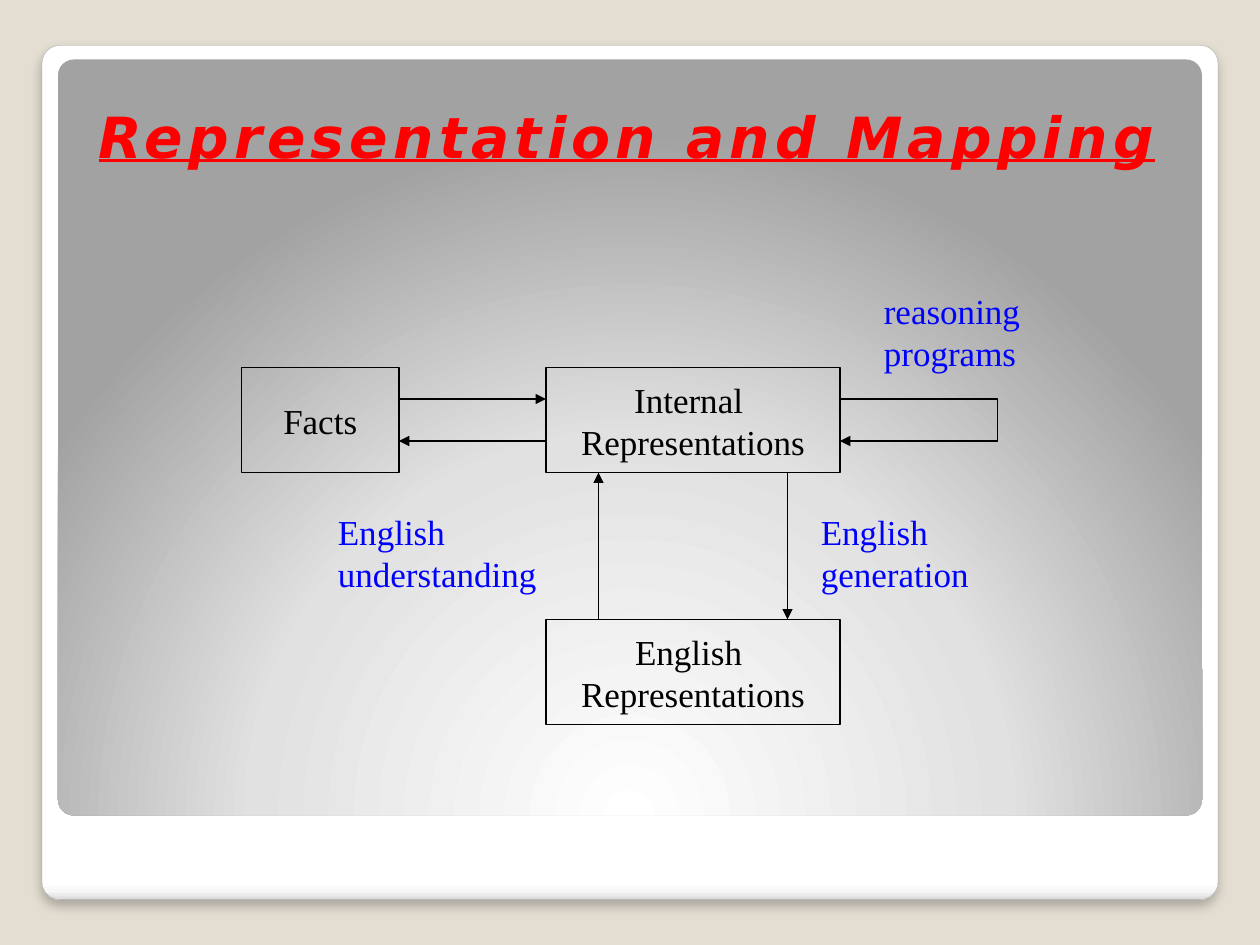
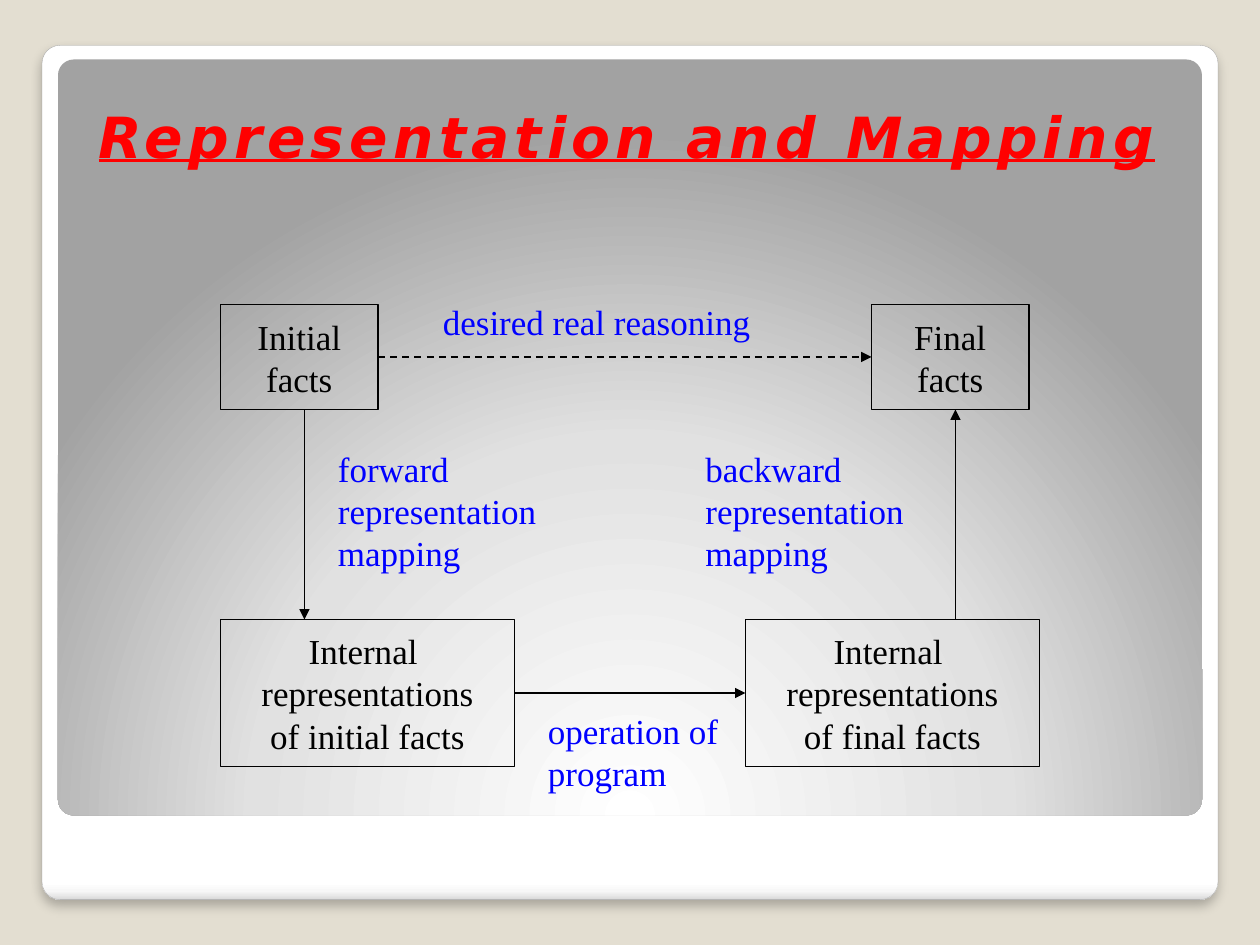
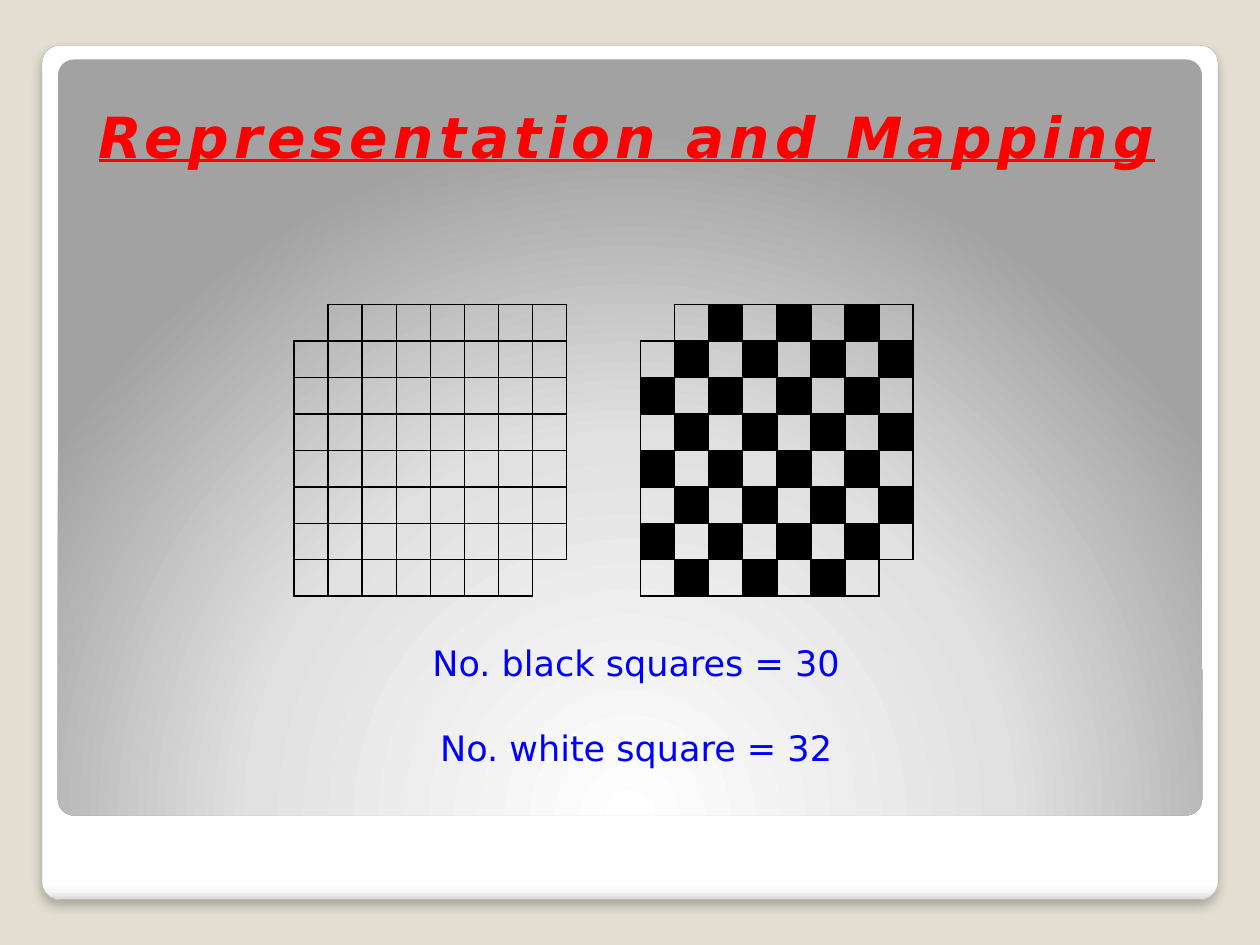
from dataclasses import dataclass

from lxml import etree
from pptx import Presentation
from pptx.dml.color import RGBColor
from pptx.enum import dml, shapes, text
from pptx.oxml import parse_xml
from pptx.oxml.ns import nsdecls, qn
from pptx.util import Pt


@dataclass(frozen=True)
class Theme:
    backdrop: str = "E3DED1"
    card_edge: str = "A4A4A4"
    title: str = "FF0000"
    label: str = "0000FF"
    ink: str = "000000"
    title_font: str = "DejaVu Sans"
    body_font: str = "Times New Roman"
    title_size: float = 32.4
    body_size: float = 20
    line_width: float = 1


THEME = Theme()

# Content: boxes and labels as (text, frame); arrows as lists of points, in points
TITLE = "Representation and Mapping"
TITLE_FRAME = (36, 36, 644.4, 82.8)

DIAGRAMS = [
    {
        "boxes": [
            (["Facts"], (138, 210, 90, 60)),
            (["Internal ", "Representations"], (312, 210, 168, 60)),
            (["English ", "Representations"], (312, 354, 168, 60)),
        ],
        "arrows": [
            [(228, 228), (312, 228)],
            [(312, 252), (228, 252)],
            [(342, 354), (342, 270)],
            [(450, 270), (450, 354)],
            [(480, 228), (570, 228), (570, 252), (480, 252)],
        ],
        "dashed": [],
        "labels": [
            ("reasoning programs", (498, 162, 108, 55.2)),
            ("English understanding", (186, 288, 150, 55.2)),
            ("English generation", (462, 288, 150, 55.2)),
        ],
    },
    {
        "boxes": [
            (["Initial", "facts"], (126, 174, 90, 60)),
            (["Final", "facts"], (498, 174, 90, 60)),
            (["Internal ", "representations", "of initial facts"], (126, 354, 168, 84)),
            (["Internal ", "representations", "of final facts"], (426, 354, 168, 84)),
        ],
        "arrows": [
            [(546, 354), (546, 234)],
            [(174, 234), (174, 354)],
            [(294, 396), (426, 396)],
        ],
        "dashed": [[(216, 204), (498, 204)]],
        "labels": [
            ("desired real reasoning", (246, 168, 216, 31.2)),
            ("forward representation mapping", (186, 252, 150, 79.2)),
            ("backward representation mapping", (396, 252, 150, 79.2)),
            ("operation of program", (306, 402, 114, 55.2)),
        ],
    },
]

BOARD_SIZE = 8
BOARD_TOP = 174
BOARDS = [(168, False), (366, True)]  # left edge, checkered
SQUARE_WIDTH, SQUARE_HEIGHT = 19.5, 20.86
MISSING = {(0, 0): ("R", "B"), (7, 7): ("L", "T")}  # cut corners and their inner edges
COUNTS = ["No. black squares = 30", "No. white square = 32"]
COUNTS_FRAME = (50.4, 366.5, 626.4, 72)


def color(value):
    return RGBColor.from_string(value)


def points(values):
    return [Pt(value) for value in values]


def write(frame, lines, *, size=THEME.body_size, font=THEME.body_font, fill=THEME.ink,
          align=text.PP_ALIGN.LEFT, anchor=text.MSO_ANCHOR.TOP, wrap=True, gap=0,
          heading=False):
    """Fill a text frame with one paragraph per line."""
    frame.word_wrap = wrap
    frame.auto_size = text.MSO_AUTO_SIZE.NONE
    frame.vertical_anchor = anchor
    for index, line in enumerate(lines):
        paragraph = frame.add_paragraph() if index else frame.paragraphs[0]
        paragraph.alignment = align
        paragraph.space_before = Pt(gap if index else 0)
        run = paragraph.add_run()
        run.text = line
        run.font.size, run.font.name = Pt(size), font
        run.font.color.rgb = color(fill)
        if heading:
            run.font.bold = run.font.italic = run.font.underline = True
            run.font._element.set("spc", "300")


def style_line(shape, arrow=False, dashed=False):
    shape.line.color.rgb = color(THEME.ink)
    shape.line.width = Pt(THEME.line_width)
    if dashed:
        shape.line.dash_style = dml.MSO_LINE.DASH
    if arrow:
        etree.SubElement(shape.line._get_or_add_ln(), qn("a:tailEnd"), type="triangle")


# Shared background
def add_panel(slide, layout, frame, stops, direction):
    """Draw a rounded gradient panel and move it to the layout."""
    panel = slide.shapes.add_shape(shapes.MSO_SHAPE.ROUNDED_RECTANGLE, *points(frame))
    panel.adjustments[0] = 0.021
    panel.shadow.inherit = False
    panel.line.fill.background()
    panel.fill.background()
    stop_xml = "".join(f'<a:gs pos="{position * 1000}"><a:srgbClr val="{value}"/></a:gs>'
                       for position, value in stops)
    properties = panel._element.spPr
    properties.replace(properties.find(qn("a:noFill")), parse_xml(
        f'<a:gradFill {nsdecls("a")} rotWithShape="1"><a:gsLst>{stop_xml}</a:gsLst>'
        f'{direction}</a:gradFill>'))
    layout.shapes.element.insert(2 + len(layout.shapes) - layout_placeholder_count(layout),
                                 panel._element)
    return panel


def layout_placeholder_count(layout):
    return len(list(layout.placeholders))


def build_background(slide, layout):
    layout.background.fill.solid()
    layout.background.fill.fore_color.rgb = color(THEME.backdrop)
    card = add_panel(slide, layout, (24, 25.92, 672, 488.16),
                     [(0, "FFFFFF"), (98, "FFFFFF"), (99, "F7F7F7"), (100, "DADADA")],
                     '<a:lin ang="5400000" scaled="0"/>')
    card.line.color.rgb = color(THEME.card_edge)
    card.line.width = Pt(0.16)
    card._element.spPr.find(qn("a:effectLst")).append(parse_xml(
        f'<a:outerShdw {nsdecls("a")} blurRad="{Pt(6)}" dist="{Pt(4)}" dir="5400000" '
        'rotWithShape="0"><a:srgbClr val="000000"><a:alpha val="25000"/></a:srgbClr>'
        '</a:outerShdw>'))
    add_panel(slide, layout, (33.12, 34, 653.76, 432),
              [(0, "FFFFFF"), (55, "E1E1E1"), (100, "A2A2A2")],
              '<a:path path="circle"><a:fillToRect l="50000" t="175000" r="50000" '
              'b="-75000"/></a:path>')


def add_titled_slide(presentation, layout):
    slide = presentation.slides.add_slide(layout)
    title = slide.shapes.title
    title.left, title.top, title.width, title.height = points(TITLE_FRAME)
    write(title.text_frame, [TITLE], size=THEME.title_size, font=THEME.title_font,
          fill=THEME.title, align=text.PP_ALIGN.CENTER, anchor=text.MSO_ANCHOR.MIDDLE,
          heading=True)
    return slide


# Diagram parts
def add_box(slide, lines, frame):
    box = slide.shapes.add_shape(shapes.MSO_SHAPE.RECTANGLE, *points(frame))
    box.shadow.inherit = False
    box.fill.background()
    style_line(box)
    write(box.text_frame, lines, align=text.PP_ALIGN.CENTER,
          anchor=text.MSO_ANCHOR.MIDDLE, wrap=False)


def add_arrow(slide, route, dashed=False):
    if len(route) == 2:
        arrow = slide.shapes.add_connector(shapes.MSO_CONNECTOR.STRAIGHT,
                                           *points(route[0] + route[1]))
        etree.SubElement(arrow._element.spPr, qn("a:effectLst"))
    else:
        corners = [points(corner) for corner in route]
        builder = slide.shapes.build_freeform(*corners[0])
        builder.add_line_segments(corners[1:], close=False)
        arrow = builder.convert_to_shape()
        arrow.shadow.inherit = False
        arrow.fill.background()
    style_line(arrow, arrow=True, dashed=dashed)


def add_text(slide, lines, frame, **style):
    box = slide.shapes.add_textbox(*points(frame))
    write(box.text_frame, lines, fill=THEME.label, **style)
    return box


def build_diagram(slide, diagram):
    for lines, frame in diagram["boxes"]:
        add_box(slide, lines, frame)
    for route in diagram["arrows"]:
        add_arrow(slide, route)
    for route in diagram["dashed"]:
        add_arrow(slide, route, dashed=True)
    for label, frame in diagram["labels"]:
        add_text(slide, [label], frame)


# Chessboards
def format_square(cell, edges, black):
    cell.margin_left = cell.margin_right = cell.margin_top = cell.margin_bottom = 0
    etree.SubElement(cell.text_frame.paragraphs[0]._p, qn("a:endParaRPr"), sz="1000")
    properties = cell._tc.get_or_add_tcPr()
    for side in "LRTB":
        paint = (f'<a:solidFill><a:srgbClr val="{THEME.ink}"/></a:solidFill>'
                 if side in edges else "<a:noFill/>")
        properties.append(parse_xml(
            f'<a:ln{side} {nsdecls("a")} w="{Pt(THEME.line_width)}">{paint}</a:ln{side}>'))
    if black:
        cell.fill.solid()
        cell.fill.fore_color.rgb = color(THEME.ink)
    else:
        cell.fill.background()


def add_board(slide, left, checkered):
    frame = (left, BOARD_TOP, BOARD_SIZE * SQUARE_WIDTH, BOARD_SIZE * SQUARE_HEIGHT)
    table = slide.shapes.add_table(BOARD_SIZE, BOARD_SIZE, *points(frame)).table
    table.first_row = table.horz_banding = False
    for column in table.columns:
        column.width = Pt(SQUARE_WIDTH)
    for row_index, row in enumerate(table.rows):
        row.height = Pt(SQUARE_HEIGHT)
        for column_index, cell in enumerate(row.cells):
            place = (row_index, column_index)
            black = checkered and sum(place) % 2 == 0 and place not in MISSING
            format_square(cell, MISSING.get(place, "LRTB"), black)


def build_boards(slide):
    for left, checkered in BOARDS:
        add_board(slide, left, checkered)
    counts = add_text(slide, COUNTS, COUNTS_FRAME, font=THEME.title_font,
                      align=text.PP_ALIGN.CENTER, gap=24.7).text_frame
    counts.margin_left = counts.margin_right = counts.margin_top = counts.margin_bottom = 0


def main():
    presentation = Presentation()
    presentation.slide_width, presentation.slide_height = Pt(720), Pt(540)
    layout = presentation.slide_layouts.get_by_name("Title Only")
    slides = [add_titled_slide(presentation, layout) for _ in range(len(DIAGRAMS) + 1)]
    build_background(slides[0], layout)
    for slide, diagram in zip(slides, DIAGRAMS):
        build_diagram(slide, diagram)
    build_boards(slides[-1])
    presentation.save("out.pptx")


if __name__ == "__main__":
    main()
